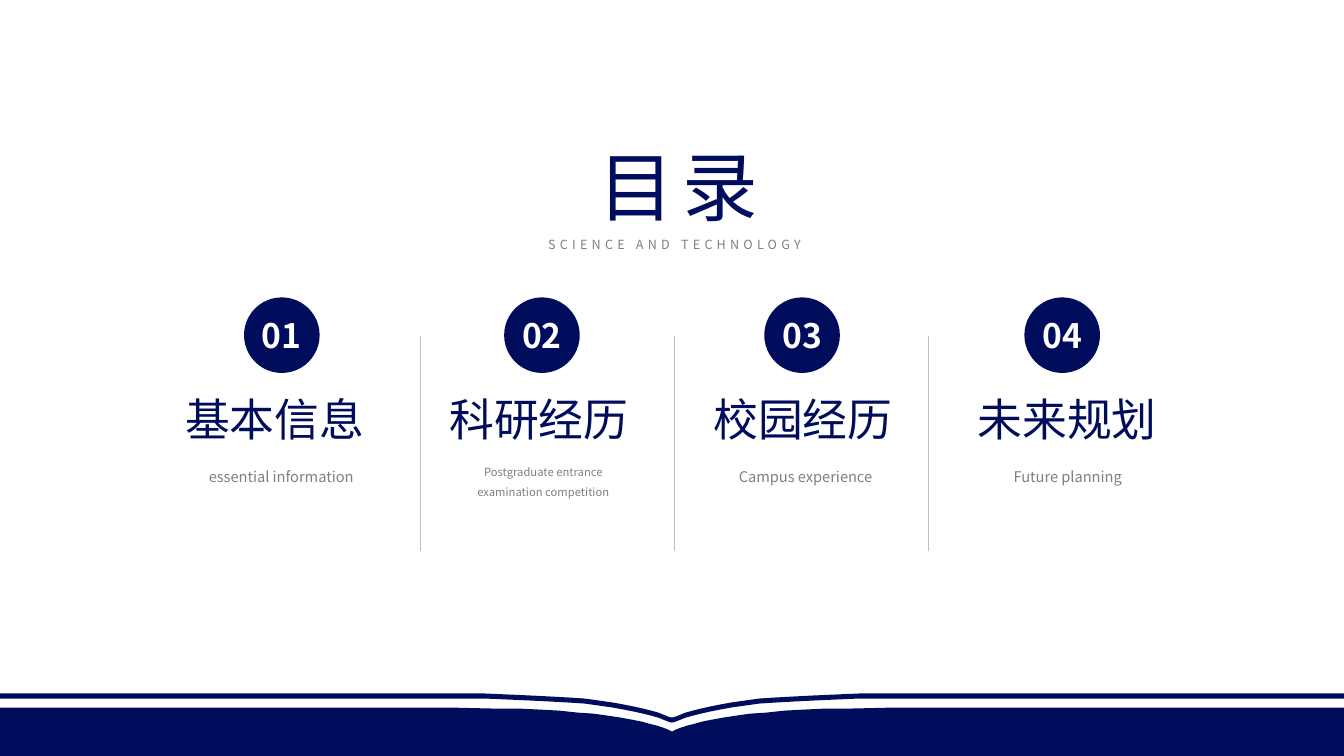
from dataclasses import dataclass

import pptx
import pptx.dml.color
import pptx.enum.shapes
import pptx.enum.text
import pptx.oxml.ns
import pptx.shapes.autoshape
import pptx.shapes.shapetree
import pptx.text.text
import pptx.util
from lxml import etree

Inches = pptx.util.Inches
Points = list[tuple[float, float]]

FONT = "Noto Sans CJK SC"
COLORS = {"navy": "000D5D", "gray": "808080", "rule": "BFBFBF", "white": "FFFFFF"}
WIDTH, HEIGHT = 13.33, 7.5
BAND = 0.05

# Left halves of the two page edges, from the slide side to the fold
EDGE: Points = [
    (0, 6.88), (4.81, 6.88), (5.04, 6.89), (5.26, 6.9), (5.46, 6.91),
    (5.64, 6.92), (5.8, 6.93), (5.94, 6.95), (6.08, 6.97), (6.19, 6.99),
    (6.29, 7.01), (6.38, 7.03), (6.46, 7.05), (6.53, 7.07), (6.58, 7.09),
    (6.63, 7.11), (6.67, 7.12),
]
PAGE: Points = [
    (0, 7.02), (4.49, 7.02), (4.92, 7.03), (5.15, 7.03), (5.36, 7.04),
    (5.55, 7.05), (5.73, 7.07), (5.89, 7.08), (6.03, 7.1), (6.16, 7.12),
    (6.27, 7.14), (6.37, 7.16), (6.44, 7.18), (6.52, 7.2), (6.58, 7.22),
    (6.63, 7.24), (6.67, 7.26),
]


@dataclass
class Style:
    size: float
    color: str
    bold: bool = False
    space: int = 0
    lead: float = 1


@dataclass
class Topic:
    title: str
    note: str
    size: float = 10.5


TOPICS = [
    Topic("基本信息", "essential information"),
    Topic("科研经历", "Postgraduate entrance examination competition", 8),
    Topic("校园经历", "Campus experience"),
    Topic("未来规划", "Future planning"),
]


def get_rgb(name: str) -> pptx.dml.color.RGBColor:
    return pptx.dml.color.RGBColor.from_string(COLORS[name])


def write(frame: pptx.text.text.TextFrame, text: str, style: Style) -> None:
    para = frame.paragraphs[0]
    para.alignment = pptx.enum.text.PP_ALIGN.CENTER
    para.line_spacing = style.lead
    run = para.add_run()
    run.text = text
    run.font.size = pptx.util.Pt(style.size)
    run.font.bold = style.bold
    run.font.name = FONT
    run.font.color.rgb = get_rgb(style.color)
    props = run.font._element
    etree.SubElement(props, pptx.oxml.ns.qn("a:ea"), typeface=FONT)
    if style.space:
        props.set("spc", str(style.space * 100))


def clear(frame: pptx.text.text.TextFrame) -> None:
    """Remove the inner margins."""
    frame.margin_left = frame.margin_right = 0
    frame.margin_top = frame.margin_bottom = 0


def add_text(shapes: pptx.shapes.shapetree.SlideShapes, text: str, style: Style,
             left: float, top: float, width: float, height: float,
             tight: bool = False) -> None:
    box = shapes.add_textbox(Inches(left), Inches(top), Inches(width), Inches(height))
    frame = box.text_frame
    frame.word_wrap = True
    frame.auto_size = pptx.enum.text.MSO_AUTO_SIZE.SHAPE_TO_FIT_TEXT
    if tight:
        clear(frame)
    write(frame, text, style)


def paint(shape: pptx.shapes.autoshape.Shape) -> None:
    shape.shadow.inherit = False
    shape.fill.solid()
    shape.fill.fore_color.rgb = get_rgb("navy")
    shape.line.fill.background()


def mirror(half: Points) -> Points:
    """Extend a left half to the full width."""
    return half + [(WIDTH - x, y) for x, y in reversed(half)]


def add_free(shapes: pptx.shapes.shapetree.SlideShapes, points: Points) -> None:
    spots = [(Inches(x), Inches(y)) for x, y in points]
    pen = shapes.build_freeform(*spots[0])
    pen.add_line_segments(spots[1:], close=True)
    paint(pen.convert_to_shape())


def add_badge(shapes: pptx.shapes.shapetree.SlideShapes, left: float, text: str) -> None:
    badge = shapes.add_shape(pptx.enum.shapes.MSO_SHAPE.OVAL, Inches(left),
                             Inches(2.95), Inches(0.75), Inches(0.75))
    paint(badge)
    frame = badge.text_frame
    clear(frame)
    frame.word_wrap = False
    frame.vertical_anchor = pptx.enum.text.MSO_ANCHOR.MIDDLE
    write(frame, text, Style(24, "white", bold=True))


def add_rule(shapes: pptx.shapes.shapetree.SlideShapes, left: float) -> None:
    rule = shapes.add_connector(pptx.enum.shapes.MSO_CONNECTOR.STRAIGHT, Inches(left),
                                Inches(3.33), Inches(left), Inches(5.47))
    rule.line.color.rgb = get_rgb("rule")
    rule.line.width = pptx.util.Pt(0.5)
    etree.SubElement(rule._element.spPr, pptx.oxml.ns.qn("a:effectLst"))


def main() -> None:
    deck = pptx.Presentation()
    deck.slide_width, deck.slide_height = Inches(WIDTH), Inches(HEIGHT)
    shapes = deck.slides.add_slide(deck.slide_layouts[6]).shapes

    edge = mirror(EDGE)
    add_free(shapes, edge + [(x, y + BAND) for x, y in reversed(edge)])
    add_free(shapes, mirror(PAGE) + [(WIDTH, HEIGHT), (0, HEIGHT)])

    add_text(shapes, "SCIENCE AND TECHNOLOGY", Style(9, "gray", space=3),
             5.24, 2.3, 2.9, 0.25)
    add_text(shapes, "目录", Style(54, "navy", space=6), 5.77, 1.34, 1.92, 1.01)

    for i, topic in enumerate(TOPICS):
        add_badge(shapes, 2.42 + 2.58 * i, f"{i + 1:02}")
        if i:
            add_rule(shapes, 4.17 + 2.52 * (i - 1))
        add_text(shapes, topic.title, Style(32, "navy"),
                 1.57 + 2.62 * i, 3.84, 2.31, 0.64)
        add_text(shapes, topic.note, Style(topic.size, "gray", lead=1.5),
                 1.97 + 2.6 * i, 4.55, 1.64, 0.27, tight=True)

    deck.save("out.pptx")


if __name__ == "__main__":
    main()
